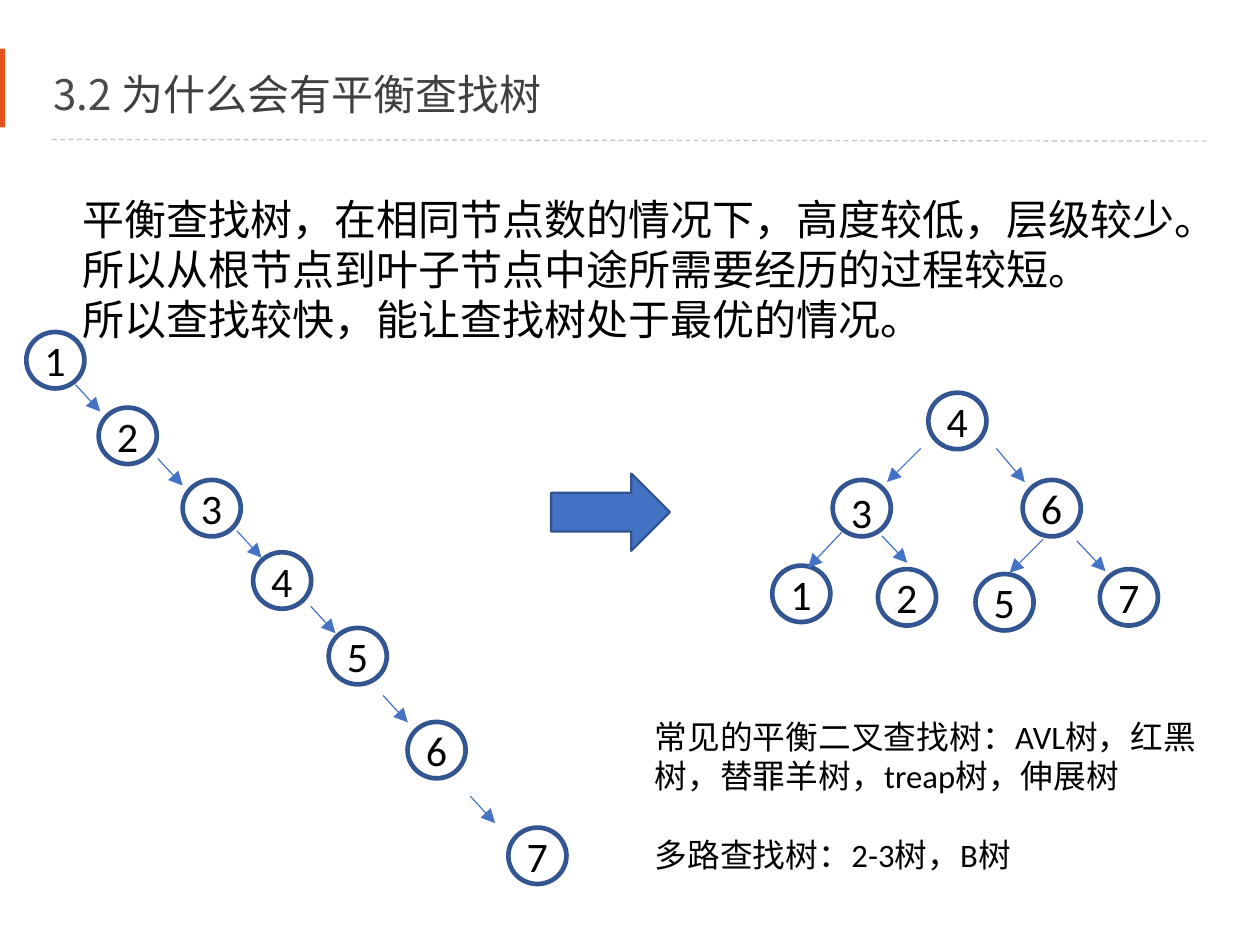
import dataclasses

import pptx
import pptx.dml.color
import pptx.enum.dml
import pptx.enum.shapes
import pptx.enum.text
import pptx.oxml.ns
import pptx.util
from lxml import etree

Pt = pptx.util.Pt
SHAPES = pptx.enum.shapes.MSO_SHAPE
ANCHOR = pptx.enum.text.MSO_ANCHOR
FIT = pptx.enum.text.MSO_AUTO_SIZE.SHAPE_TO_FIT_TEXT


@dataclasses.dataclass(frozen=True)
class Theme:
    font: str = "Calibri"
    title_font: str = "Noto Sans CJK SC"
    text: str = "000000"
    title: str = "404040"
    title_number: str = "4C4948"
    accent: str = "E6501E"
    rule: str = "BFBFBF"
    fill: str = "4472C4"
    outline: str = "325491"
    large: float = 18
    small: float = 14


THEME = Theme()
NODE_SIZE = (25.9, 25.2)
LABEL_SIZE = (23.8, 28.8)
LABEL_OFFSET = (1.2, -1.8)

# Node: key, left, top, extra label drop. Arrow: from x, from y, to x, to y.
CHAIN_NODES = [
    ("1", 0, 0, 0), ("2", 31, 32.4, 0), ("3", 67, 63.4, 0), ("4", 97.2, 94.4, 0),
    ("5", 129.6, 126.8, 0), ("6", 163.4, 167.1, 0), ("7", 206.6, 212.4, 0),
]
CHAIN_STARTS = [(21.6, 23.1), (56.9, 54.8), (90.7, 85.7),
                (122.4, 118.1), (153.4, 156.3), (190.8, 199.5)]
CHAIN_ARROWS = [(x, y, x + 10.6, y + 11.5) for x, y in CHAIN_STARTS]
TREE_NODES = [
    ("4", 66.9, 0, 0), ("3", 25.9, 37.4, 1.8), ("6", 107.3, 37.4, 0),
    ("1", 0, 74.1, 0), ("2", 45.3, 75.6, 0), ("5", 87.1, 77.7, 0), ("7", 140.4, 75.6, 0),
]
TREE_ARROWS = [
    (64.1, 24.4, 49.7, 38.8), (96.5, 24.4, 108.7, 38.8),
    (30.2, 60.4, 15.8, 75.6), (47.5, 61.9, 58.3, 73.4),
    (116.6, 63.3, 102.2, 77.7), (131, 64, 143.3, 77),
]


def rgb(color):
    return pptx.dml.color.RGBColor.from_string(color)


def place(shape, box):
    shape.left, shape.top, shape.width, shape.height = (Pt(value) for value in box)


def write_text(paragraph, text, *, size=THEME.large, color=THEME.text,
               font=THEME.font, east_asian=None, space_before=0):
    paragraph.alignment = pptx.enum.text.PP_ALIGN.LEFT
    paragraph.space_before = Pt(space_before)
    run = paragraph.add_run()
    run.text = text
    run.font.name = font
    run.font.size = Pt(size)
    run.font.color.rgb = rgb(color)
    if east_asian:
        properties = run.font._element
        etree.SubElement(properties, pptx.oxml.ns.qn("a:ea"), typeface=east_asian)


def add_text_box(slide, box, wrap):
    shape = slide.shapes.add_textbox(*(Pt(value) for value in box))
    shape.text_frame.word_wrap = wrap
    shape.text_frame.auto_size = FIT
    return shape.text_frame


def add_solid(slide, kind, box, fill, outline=None):
    shape = slide.shapes.add_shape(kind, *(Pt(value) for value in box))
    shape.shadow.inherit = False
    shape.fill.solid()
    shape.fill.fore_color.rgb = rgb(fill)
    if outline:
        shape.line.color.rgb = rgb(outline)
        shape.line.width = Pt(1)
    else:
        shape.line.fill.background()
    return shape


def add_line(slide, ends, color):
    line = slide.shapes.add_connector(
        pptx.enum.shapes.MSO_CONNECTOR.STRAIGHT, *(Pt(value) for value in ends))
    line.line.color.rgb = rgb(color)
    line.line.width = Pt(0.5)
    etree.SubElement(line._element.spPr, pptx.oxml.ns.qn("a:effectLst"))
    return line


def add_arrow(slide, ends):
    arrow = add_line(slide, ends, THEME.fill)
    etree.SubElement(arrow.line._get_or_add_ln(), pptx.oxml.ns.qn("a:tailEnd"),
                     type="triangle")


def add_node(slide, left, top, key, label_drop):
    ring = add_solid(slide, SHAPES.DONUT, (left, top, *NODE_SIZE),
                     THEME.fill, THEME.outline)
    ring.adjustments[0] = 0.04
    label_box = (left + LABEL_OFFSET[0], top + LABEL_OFFSET[1] + label_drop, *LABEL_SIZE)
    label = add_text_box(slide, label_box, wrap=False)
    write_text(label.paragraphs[0], key)


def add_diagram(slide, box, nodes, arrows):
    """Draw nodes and arrows whose coordinates are relative to the box."""
    left, top = box[:2]
    for key, x, y, label_drop in nodes:
        add_node(slide, left + x, top + y, key, label_drop)
    for x1, y1, x2, y2 in arrows:
        add_arrow(slide, (left + x1, top + y1, left + x2, top + y2))


def add_header(slide, box):
    left, top, width, height = box
    line = add_line(slide, (left + 22.3, top + 38.9, left + width - 22.3, top + 39.6),
                    THEME.rule)
    line.line.dash_style = pptx.enum.dml.MSO_LINE.DASH
    add_solid(slide, SHAPES.RECTANGLE, (left, top, 2.2, 33.8), THEME.accent)
    title = slide.shapes.title
    place(title, (left + 15.8, top + 0.7, 412.6, height - 2.2))
    title.text_frame.vertical_anchor = ANCHOR.MIDDLE
    paragraph = title.text_frame.paragraphs[0]
    for text, color in (("3.2 ", THEME.title_number),
                        ("为什么会有平衡查找树", THEME.title)):
        write_text(paragraph, text, color=color, font=THEME.title_font,
                   east_asian=THEME.title_font)


def add_explanation(slide, box):
    body = slide.placeholders[1]
    place(body, box)
    frame = body.text_frame
    frame.word_wrap = False
    frame.auto_size = FIT
    frame.vertical_anchor = ANCHOR.TOP
    lines = ("平衡查找树，在相同节点数的情况下，高度较低，层级较少。",
             "所以从根节点到叶子节点中途所需要经历的过程较短。",
             "所以查找较快，能让查找树处于最优的情况。")
    for index, text in enumerate(lines):
        paragraph = frame.add_paragraph() if index else frame.paragraphs[0]
        write_text(paragraph, text)
        properties = paragraph._p.get_or_add_pPr()
        properties.set("marL", "0")
        properties.set("indent", "0")
        etree.SubElement(properties, pptx.oxml.ns.qn("a:buNone"))


def add_examples(slide, box):
    frame = add_text_box(slide, box, wrap=True)
    write_text(frame.paragraphs[0],
               "常见的平衡二叉查找树：AVL树，红黑树，替罪羊树，treap树，伸展树",
               size=THEME.small)
    write_text(frame.add_paragraph(), "多路查找树：2-3树，B树",
               size=THEME.small, space_before=17)


def main():
    presentation = pptx.Presentation()
    presentation.slide_width = Pt(540)
    presentation.slide_height = Pt(405)
    slide = presentation.slides.add_slide(presentation.slide_layouts[1])
    add_header(slide, (0, 20.9, 540, 39.6))
    add_explanation(slide, (28.1, 79.2, 505.4, 72.7))
    add_examples(slide, (273.6, 303.8, 256.3, 92.2))
    add_diagram(slide, (10.8, 141.8, 232.5, 237.6), CHAIN_NODES, CHAIN_ARROWS)
    add_solid(slide, SHAPES.RIGHT_ARROW, (236.2, 203, 50.9, 33.1),
              THEME.fill, THEME.outline)
    add_diagram(slide, (330.5, 167.8, 166.3, 102.9), TREE_NODES, TREE_ARROWS)
    presentation.save("out.pptx")


if __name__ == "__main__":
    main()
